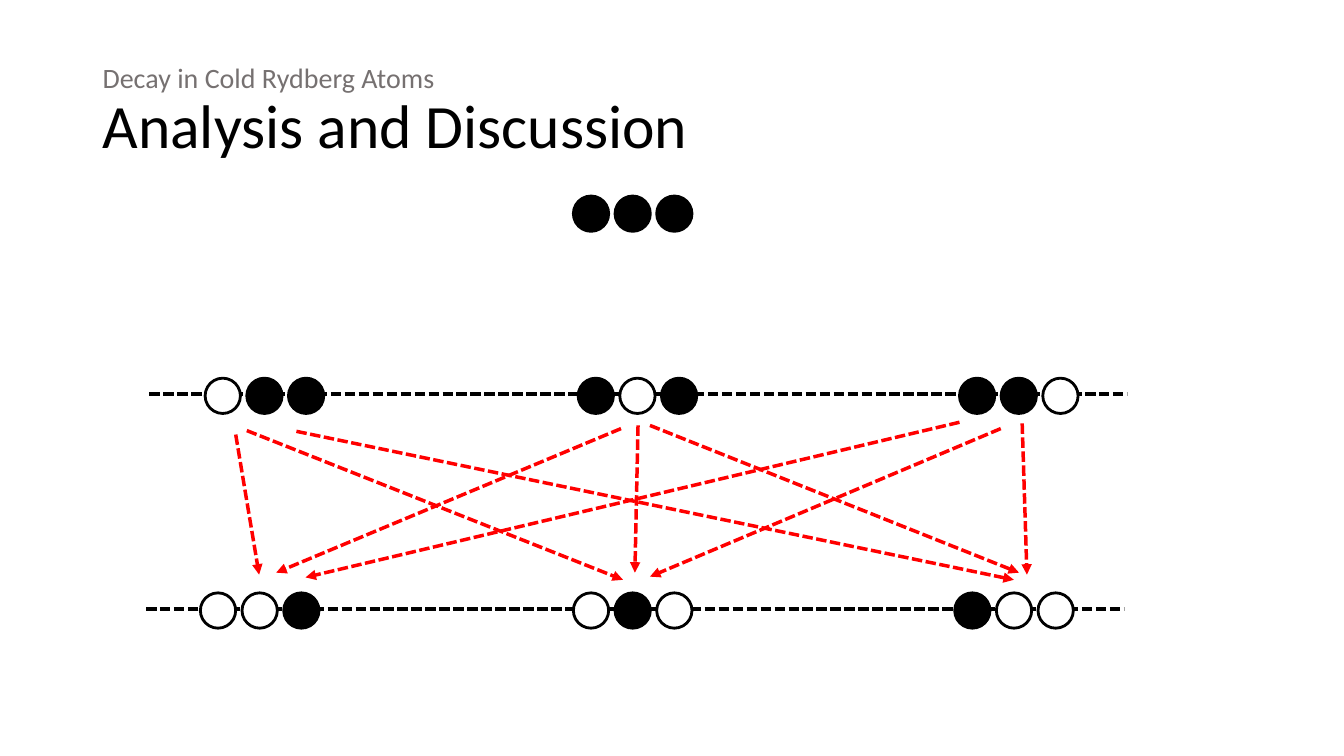
from lxml import etree
from pptx import Presentation
from pptx.dml.color import RGBColor
from pptx.enum.dml import MSO_LINE_DASH_STYLE
from pptx.enum.shapes import MSO_CONNECTOR_TYPE, MSO_SHAPE
from pptx.enum.text import MSO_ANCHOR, MSO_AUTO_SIZE, PP_ALIGN
from pptx.oxml.ns import qn
from pptx.util import Cm, Pt

BLACK = RGBColor(0x00, 0x00, 0x00)
WHITE = RGBColor(0xFF, 0xFF, 0xFF)
GREY = RGBColor(0x76, 0x71, 0x71)
RED = RGBColor(0xFF, 0x00, 0x00)

OVAL = MSO_SHAPE.OVAL
STRAIGHT = MSO_CONNECTOR_TYPE.STRAIGHT
DASHED = MSO_LINE_DASH_STYLE.SQUARE_DOT
MIDDLE = MSO_ANCHOR.MIDDLE
LEFT = PP_ALIGN.LEFT
NO_AUTOFIT = MSO_AUTO_SIZE.NONE

FONT = "Calibri"
ATOM_SIZE = 0.89
ATOM_PITCH = 1.05

# Atom chains: "o" is a decayed (white) atom, "x" an excited (black) one
START_CHAIN = (14.45, 4.94, "xxx")
ONE_DECAY_TOP = 9.53
ONE_DECAY = [(5.17, "oxx"), (14.57, "xox"), (24.18, "xxo")]
TWO_DECAYS_TOP = 14.94
TWO_DECAYS = [(5.05, "oox"), (14.45, "oxo"), (24.06, "xoo")]

# Energy levels: left, right, height
LEVELS = [(3.76, 28.4, 9.93), (3.68, 28.32, 15.34)]

# Decay paths: start x, start y, end x, end y
DECAYS = [
    (6.22, 10.85, 15.7, 14.61),
    (7.47, 10.87, 25.55, 14.61),
    (5.94, 10.95, 6.53, 14.48),
    (16.38, 10.72, 25.68, 14.43),
    (16.08, 10.72, 16.0, 14.43),
    (15.65, 10.8, 6.96, 14.43),
    (25.76, 10.67, 25.88, 14.48),
    (25.22, 10.8, 16.38, 14.53),
    (24.18, 10.64, 7.7, 14.55),
]


def add_text(paragraph, text, size, color, font=FONT):
    run = paragraph.add_run()
    run.text = text
    run.font.name = font
    run.font.size = Pt(size)
    run.font.color.rgb = color


class DecaySlide:
    def __init__(self, presentation):
        layout = presentation.slide_layouts.get_by_name("Title Only")
        self.slide = presentation.slides.add_slide(layout)
        self.shapes = self.slide.shapes

    def title(self, topic, heading):
        title = self.shapes.title
        title.left, title.top = Cm(2.33), Cm(1.01)
        title.width, title.height = Cm(29.21), Cm(3.68)
        frame = title.text_frame
        frame.word_wrap = True
        frame.auto_size = NO_AUTOFIT
        frame.vertical_anchor = MIDDLE
        paragraph = frame.paragraphs[0]
        paragraph.alignment = LEFT
        paragraph.line_spacing = 0.9
        add_text(paragraph, topic, size=20, color=GREY)
        paragraph.add_line_break()
        # The break keeps the first line at the height of the small text
        line_break = paragraph._p.find(qn("a:br"))
        etree.SubElement(line_break, qn("a:rPr"), sz="2000")
        add_text(paragraph, heading, size=44, color=BLACK)

    def chain(self, left, top, atoms):
        for position, atom in enumerate(atoms):
            circle = self.shapes.add_shape(
                OVAL, Cm(left + position * ATOM_PITCH), Cm(top),
                Cm(ATOM_SIZE), Cm(ATOM_SIZE))
            circle.shadow.inherit = False
            circle.fill.solid()
            circle.fill.fore_color.rgb = BLACK if atom == "x" else WHITE
            circle.line.color.rgb = BLACK
            circle.line.width = Pt(2)

    def dashed_line(self, x1, y1, x2, y2, color=BLACK, arrow=False):
        connector = self.shapes.add_connector(
            STRAIGHT, Cm(x1), Cm(y1), Cm(x2), Cm(y2))
        connector.line.color.rgb = color
        connector.line.width = Pt(2.5)
        connector.line.dash_style = DASHED
        properties = connector._element.spPr
        if arrow:
            outline = properties.find(qn("a:ln"))
            etree.SubElement(outline, qn("a:tailEnd"), type="triangle")
        etree.SubElement(properties, qn("a:effectLst"))


def main():
    presentation = Presentation()
    presentation.slide_width = Cm(33.87)
    presentation.slide_height = Cm(19.05)
    slide = DecaySlide(presentation)
    slide.title("Decay in Cold Rydberg Atoms", "Analysis and Discussion")

    # Energy levels behind the chains
    for left, right, height in LEVELS:
        slide.dashed_line(left, height, right, height)

    # Chains with two, one and no decayed atoms
    for left, atoms in TWO_DECAYS:
        slide.chain(left, TWO_DECAYS_TOP, atoms)
    for left, atoms in ONE_DECAY:
        slide.chain(left, ONE_DECAY_TOP, atoms)
    slide.chain(*START_CHAIN)

    # Decay paths between the levels
    for decay in DECAYS:
        slide.dashed_line(*decay, color=RED, arrow=True)

    presentation.save("out.pptx")


if __name__ == "__main__":
    main()
